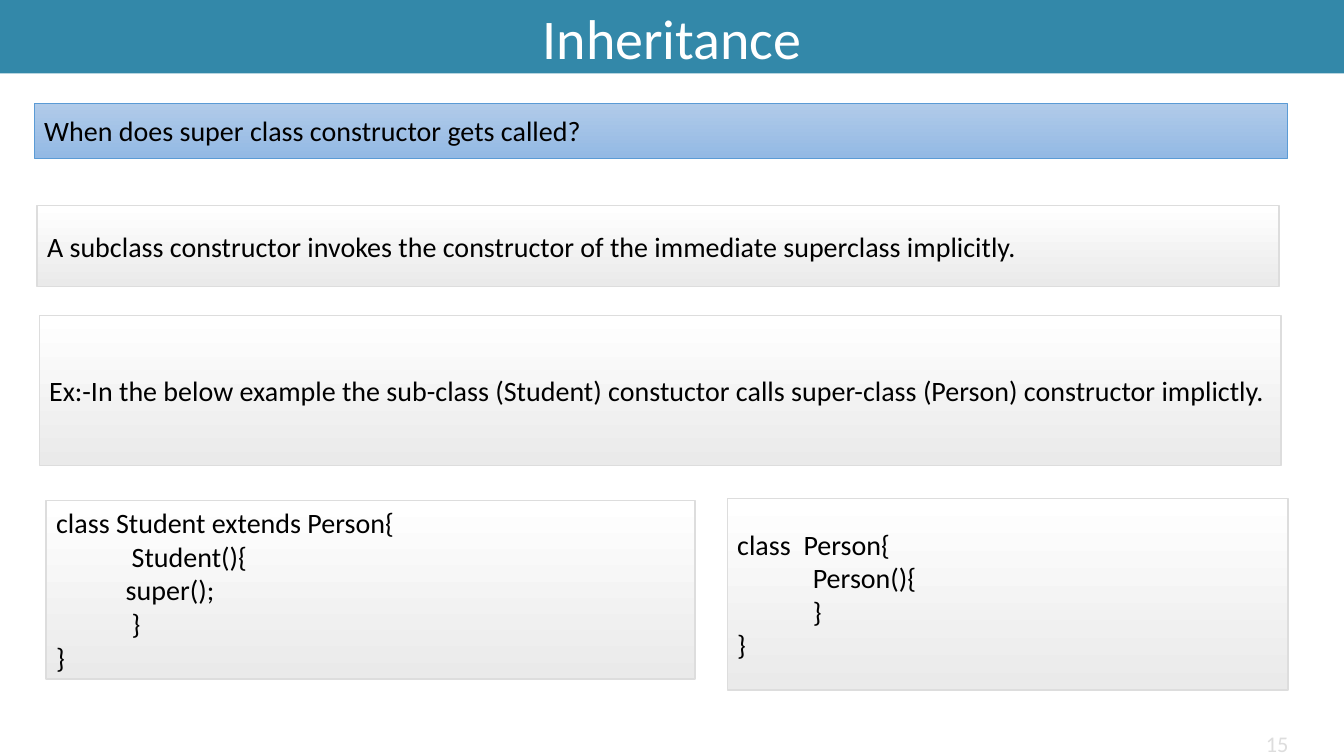
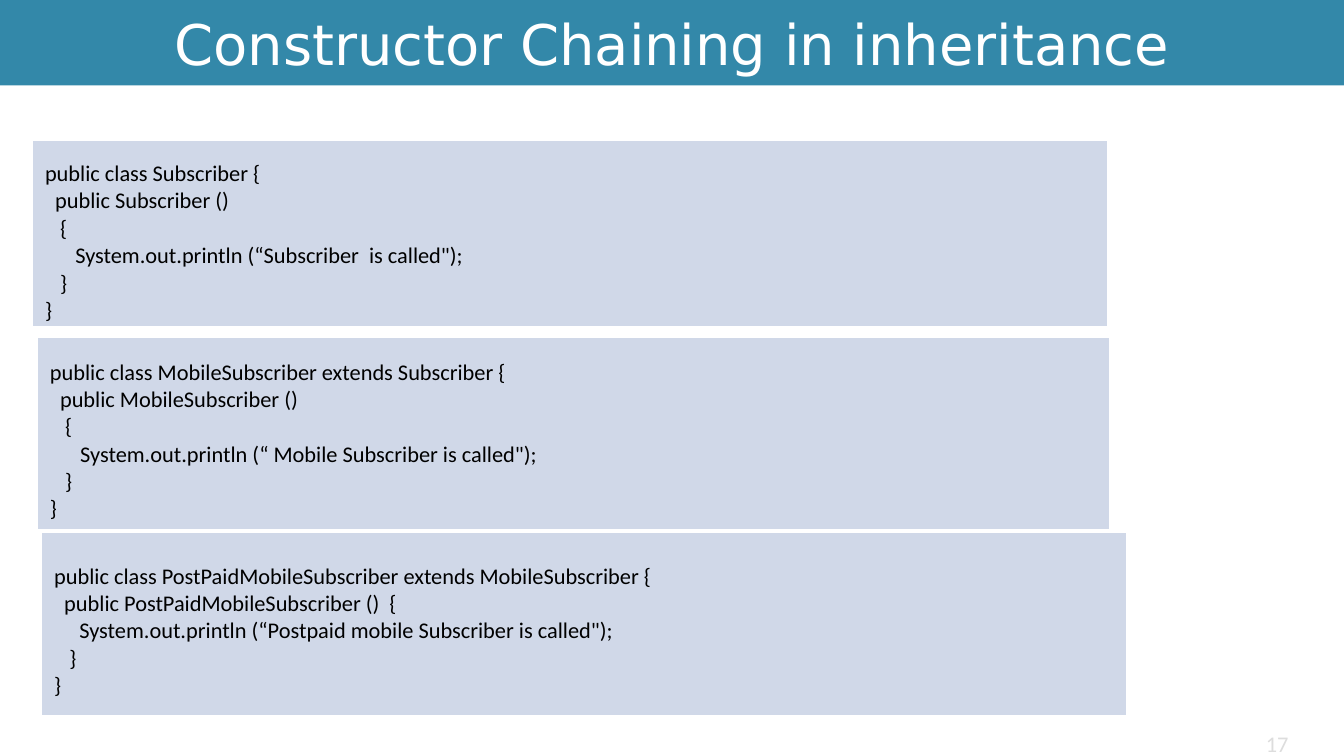
from lxml import etree
from pptx import Presentation
from pptx.dml.color import RGBColor
from pptx.enum.shapes import MSO_SHAPE
from pptx.enum.text import MSO_ANCHOR, PP_ALIGN
from pptx.oxml.ns import qn
from pptx.util import Pt

RECTANGLE = MSO_SHAPE.RECTANGLE
MIDDLE = MSO_ANCHOR.MIDDLE
LEFT, CENTER, RIGHT, JUSTIFY = (
    PP_ALIGN.LEFT, PP_ALIGN.CENTER, PP_ALIGN.RIGHT, PP_ALIGN.JUSTIFY)

SLIDE_WIDTH, SLIDE_HEIGHT = 960, 540
BODY_FONT = "Calibri"
TEAL, WHITE, BLACK = "3388A9", "FFFFFF", "000000"
CODE_FILL, PALE_GREY = "D0D8E8", "DDDDDD"
BLUE_PANEL = ("B1CBE9", "93B9E4", "5B9BD5", 0.5)
GREY_PANEL = ("FFFFFF", "EAEAEA", PALE_GREY, 1)
CODE_TAB = 54

QUESTION = "When does super class constructor gets called?"
ANSWER = ("A subclass constructor invokes the constructor of the "
          "immediate superclass implicitly.")
EXAMPLE = ("Ex:-In the below example the sub-class (Student) constuctor "
           "calls super-class (Person) constructor implictly.")
STUDENT_CODE = """class Student extends Person{
\tStudent(){
           super();
\t}
}"""
PERSON_CODE = """class  Person{
\tPerson(){
\t}
}"""
SUBSCRIBER_CODE = """public class Subscriber {
  public Subscriber ()
   {
      System.out.println (“Subscriber  is called");
   }
}"""
MOBILE_CODE = """public class MobileSubscriber extends Subscriber {
  public MobileSubscriber ()
   {
      System.out.println (“ Mobile Subscriber is called");
   }
}"""
POSTPAID_CODE = """public class PostPaidMobileSubscriber extends MobileSubscriber {
  public PostPaidMobileSubscriber ()  {
     System.out.println (“Postpaid mobile Subscriber is called");
   }
}"""


def rgb(value):
    return RGBColor.from_string(value)


def points(box):
    return [Pt(length) for length in box]


def write(frame, text, size, color, align=LEFT, font=BODY_FONT, tab=None):
    frame.word_wrap = True
    for index, line in enumerate(text.split("\n")):
        paragraph = frame.paragraphs[0] if index == 0 else frame.add_paragraph()
        paragraph.add_run().text = line
        paragraph.alignment = align
        if tab:
            tabs = etree.SubElement(paragraph._p.get_or_add_pPr(), qn("a:tabLst"))
            etree.SubElement(tabs, qn("a:tab"), pos=str(Pt(tab)), algn="l")
        paragraph.font.name = font
        paragraph.font.size = Pt(size)
        paragraph.font.color.rgb = rgb(color)


def set_margins(frame, horizontal, vertical):
    frame.margin_left = frame.margin_right = Pt(horizontal)
    frame.margin_top = frame.margin_bottom = Pt(vertical)


def add_rectangle(slide, box):
    rectangle = slide.shapes.add_shape(RECTANGLE, *points(box))
    rectangle.shadow.inherit = False
    rectangle.text_frame.vertical_anchor = MIDDLE
    return rectangle


def add_title_band(slide, title, height, font):
    band = add_rectangle(slide, (0, 0, SLIDE_WIDTH, height))
    band.fill.solid()
    band.fill.fore_color.rgb = rgb(TEAL)
    band.line.fill.background()
    set_margins(band.text_frame, 7.2, 3.6)
    write(band.text_frame, title, 40, WHITE, CENTER, font)


def add_page_number(slide, number):
    box = (SLIDE_WIDTH - 92.5, SLIDE_HEIGHT - 22, 60, 26)
    frame = slide.shapes.add_textbox(*points(box)).text_frame
    frame.vertical_anchor = MIDDLE
    set_margins(frame, 7.2, 0)
    write(frame, str(number), 16, PALE_GREY, RIGHT)


def add_panel(slide, box, text, look=GREY_PANEL, align=JUSTIFY):
    top_color, bottom_color, line_color, line_width = look
    panel = add_rectangle(slide, box)
    panel.fill.gradient()
    panel.fill.gradient_angle = 270
    for stop, color in zip(panel.fill.gradient_stops, (top_color, bottom_color)):
        stop.color.rgb = rgb(color)
    panel.line.color.rgb = rgb(line_color)
    panel.line.width = Pt(line_width)
    set_margins(panel.text_frame, 7.2, 7.2)
    write(panel.text_frame, text, 20, BLACK, align, tab=CODE_TAB)


def add_border(cell, side, width):
    line = etree.SubElement(
        cell._tc.get_or_add_tcPr(), qn("a:ln" + side), w=str(Pt(width)))
    fill = etree.SubElement(line, qn("a:solidFill"))
    etree.SubElement(fill, qn("a:srgbClr"), val=WHITE)


def add_code_table(slide, box, code):
    table = slide.shapes.add_table(1, 1, *points(box)).table
    table.first_row = table.horz_banding = False
    cell = table.cell(0, 0)
    for side, width in (("L", 0.23), ("R", 0.23), ("T", 0.75)):
        add_border(cell, side, width)
    cell.fill.solid()
    cell.fill.fore_color.rgb = rgb(CODE_FILL)
    cell.vertical_anchor = MIDDLE
    cell.margin_left = cell.margin_right = Pt(9.2)
    cell.margin_top, cell.margin_bottom = Pt(14.4), Pt(3.6)
    write(cell.text_frame, code, 16, BLACK)


def add_slide(deck, title, band_height, number, title_font=BODY_FONT):
    slide = deck.slides.add_slide(deck.slide_layouts[6])
    add_title_band(slide, title, band_height, title_font)
    add_page_number(slide, number)
    return slide


def build_inheritance(deck):
    slide = add_slide(deck, "Inheritance", 52.5, 15)
    add_panel(slide, (24.5, 73.5, 895, 39.5), QUESTION, BLUE_PANEL, LEFT)
    for box, text in (
        ((26.5, 147, 887, 57.5), ANSWER),
        ((28, 225.5, 887, 107), EXAMPLE),
        ((33, 357.5, 463.5, 127.5), STUDENT_CODE),
        ((519.5, 356, 400.5, 137), PERSON_CODE),
    ):
        add_panel(slide, box, text)


def build_constructor_chaining(deck):
    slide = add_slide(deck, "Constructor Chaining in inheritance", 61, 17,
                      "DejaVu Sans")
    for box, code in (
        ((23, 100, 768, 133), SUBSCRIBER_CODE),
        ((26.5, 241, 766, 137), MOBILE_CODE),
        ((29.5, 380, 775, 131), POSTPAID_CODE),
    ):
        add_code_table(slide, box, code)


def main():
    deck = Presentation()
    deck.slide_width, deck.slide_height = Pt(SLIDE_WIDTH), Pt(SLIDE_HEIGHT)
    build_inheritance(deck)
    build_constructor_chaining(deck)
    deck.save("out.pptx")


if __name__ == "__main__":
    main()
